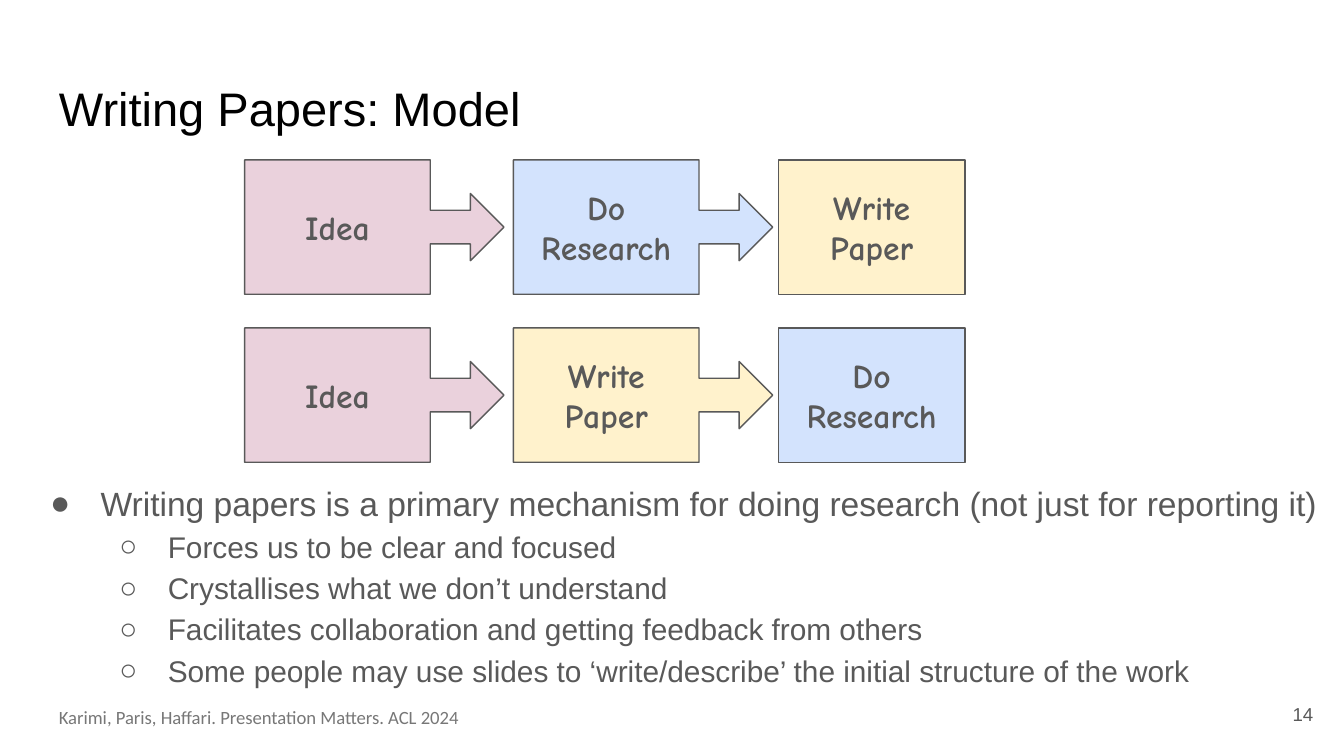
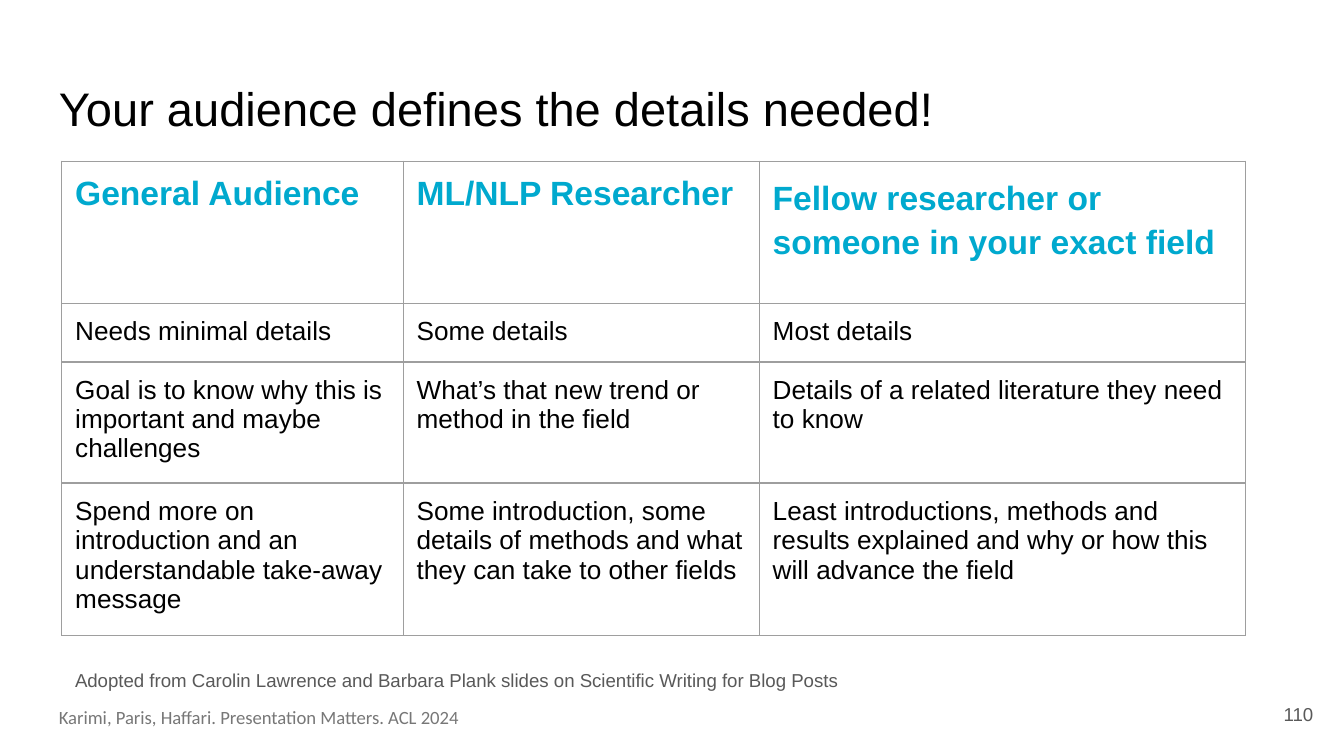
import collections

import lxml.etree
import pptx
import pptx.dml.color
import pptx.enum.shapes
import pptx.enum.text
import pptx.oxml.ns
import pptx.util

Box = collections.namedtuple("Box", "left top width height")

COLUMNS, ROWS = 100, 56.25
CELL = pptx.util.Inches(10) / COLUMNS
INSET = 1

BLACK, GREY, FOOTER_GREY, BORDER_GREY = "000000", "595959", "777777", "9E9E9E"
CYAN, PINK, BLUE, YELLOW = "00A9CE", "EAD1DC", "D3E3FD", "FFF2CC"

ALIGN = pptx.enum.text.PP_ALIGN
ANCHOR = pptx.enum.text.MSO_ANCHOR
SHAPE = pptx.enum.shapes.MSO_SHAPE

TITLE_BOX = Box(3.4, 4.9, 93.2, 6.3)
FOOTER_BOX = Box(3.4, 52, 75.3, 2.7)
NUMBER_BOX = Box(92.7, 51, 6, 4.3)
FLOW_BOX = Box(18.2, 11.9, 53.6, 22.5)
POINTS_BOX = Box(1.5, 34.5, 98.5, 19.5)
TABLE_BOX = Box(4.6, 12, 88.1, 34.1)
CREDIT_BOX = Box(4.6, 48.9, 61.8, 2.8)

TITLE_FONT = {"name": "Arial", "size": pptx.util.Pt(25.2)}
SMALL_FONT = {"name": "Arial", "size": pptx.util.Pt(10)}
FOOTER_FONT = {"name": "Calibri", "size": pptx.util.Pt(10)}
STEP_FONT = {"name": "Comic Neue", "size": pptx.util.Pt(18), "bold": True}
POINT_FONT = {"name": "Arial", "size": pptx.util.Pt(18)}
SUBPOINT_FONT = {"name": "Arial", "size": pptx.util.Pt(16)}
HEADING_FONT = {"name": "Arial", "size": pptx.util.Pt(18), "bold": True}
CELL_FONT = {"name": "Arial", "size": pptx.util.Pt(14), "bold": False}

FOOTER = "Karimi, Paris, Haffari. Presentation Matters. ACL 2024"
CALLOUT_SHAPE = (0.25, 0.25, 0.25, 0.716)

IDEA = ("Idea", PINK)
RESEARCH = ("Do Research", BLUE)
PAPER = ("Write Paper", YELLOW)
FLOWS = [(IDEA, RESEARCH, PAPER), (IDEA, PAPER, RESEARCH)]

MAIN_POINT = "Writing papers is a primary mechanism for doing research (not just for reporting it)"
SUBPOINTS = [
    "Forces us to be clear and focused",
    "Crystallises what we don’t understand",
    "Facilitates collaboration and getting feedback from others",
    "Some people may use slides to ‘write/describe’ the initial structure of the work",
]

CREDIT = "Adopted from Carolin Lawrence and Barbara Plank slides on Scientific Writing for Blog Posts"
AUDIENCE_WIDTHS = (25.4, 26.5, 36.2)
AUDIENCE_HEIGHTS = (10.6, 4.2, 8.5, 10.8)
AUDIENCES = [
    ("General Audience", "ML/NLP Researcher",
     "Fellow researcher or someone in your exact field"),
    ("Needs minimal details", "Some details", "Most details"),
    ("Goal is to know why this is important and maybe challenges",
     "What’s that new trend or method in the field",
     "Details of a related literature they need to know"),
    ("Spend more on introduction and an understandable take-away message",
     "Some introduction, some details of methods and what they can take to other fields",
     "Least introductions, methods and results explained and why or how this will advance the field"),
]


def rgb(value):
    """Turn a hex string into a colour."""
    return pptx.dml.color.RGBColor.from_string(value)


def grid(count):
    """Turn a count of grid cells into a slide length."""
    return pptx.util.Emu(round(count * CELL))


def place(box):
    """Turn a grid box into slide lengths."""
    return [grid(count) for count in box]


def apply(target, values):
    """Set every attribute named in a dict of format values."""
    for name, value in values.items():
        setattr(target, name, value)


def insets(horizontal=INSET, vertical=INSET):
    """Give the four margins of a frame or table cell."""
    return {"margin_left": grid(horizontal), "margin_right": grid(horizontal),
            "margin_top": grid(vertical), "margin_bottom": grid(vertical)}


def write(paragraph, text, font, colour, **layout):
    """Write one formatted run into a paragraph."""
    apply(paragraph, layout)
    run = paragraph.add_run()
    run.text = text
    apply(run.font, font)
    run.font.color.rgb = rgb(colour)


def child(parent, tag, **attributes):
    """Append a drawing element to an XML parent."""
    element = lxml.etree.SubElement(parent, pptx.oxml.ns.qn(tag))
    for name, value in attributes.items():
        element.set(name, str(value))
    return element


def add_frame(slide, box, anchor=ANCHOR.TOP, vertical=INSET):
    """Add a wrapping text box and return its frame."""
    frame = slide.shapes.add_textbox(*place(box)).text_frame
    apply(frame, {"word_wrap": True, "vertical_anchor": anchor, **insets(vertical=vertical)})
    return frame


def add_page(deck, title, number):
    """Add a slide with the shared footer, title and page number."""
    slide = deck.slides.add_slide(deck.slide_layouts[6])
    footer = add_frame(slide, FOOTER_BOX, vertical=INSET / 2)
    write(footer.paragraphs[0], FOOTER, FOOTER_FONT, FOOTER_GREY)
    write(add_frame(slide, TITLE_BOX).paragraphs[0], title, TITLE_FONT, BLACK)
    page_number = add_frame(slide, NUMBER_BOX, ANCHOR.MIDDLE)
    write(page_number.paragraphs[0], number, SMALL_FONT, GREY, alignment=ALIGN.RIGHT)
    return slide


def add_step(slide, box, label, colour, leads_on):
    """Add one step of a flow, with an arrow if another step follows."""
    kind = SHAPE.RIGHT_ARROW_CALLOUT if leads_on else SHAPE.RECTANGLE
    step = slide.shapes.add_shape(kind, *place(box))
    if leads_on:
        for index, share in enumerate(CALLOUT_SHAPE):
            step.adjustments[index] = share
    step.shadow.inherit = False
    step.fill.solid()
    step.fill.fore_color.rgb = rgb(colour)
    step.line.color.rgb = rgb(GREY)
    step.line.width = pptx.util.Pt(0.75)
    apply(step.text_frame, {"word_wrap": True, "vertical_anchor": ANCHOR.MIDDLE, **insets()})
    write(step.text_frame.paragraphs[0], label, STEP_FONT, GREY, alignment=ALIGN.CENTER)


def add_flows(slide, box, flows):
    """Stack the flows in a box, each ending at its right edge."""
    height, gap = 10, 2.5
    callout_width, last_width, pitch = 19.3, 13.9, 20
    for row, flow in enumerate(flows):
        top = box.top + row * (height + gap)
        for column, (label, colour) in enumerate(flow):
            leads_on = column < len(flow) - 1
            width = callout_width if leads_on else last_width
            offset = column * pitch if leads_on else box.width - last_width
            add_step(slide, Box(box.left + offset, top, width, height), label, colour, leads_on)


def add_bullet(paragraph, mark, margin, hanging):
    """Give a paragraph a bullet and a hanging indent."""
    properties = paragraph._p.get_or_add_pPr()
    properties.set("marL", str(grid(margin)))
    properties.set("indent", str(-grid(hanging)))
    child(child(properties, "a:buClr"), "a:srgbClr", val=GREY)
    child(properties, "a:buFont", typeface="Arial")
    child(properties, "a:buChar", char=mark)


def add_points(slide, box, main_point, subpoints):
    """List a main point and its subpoints in a box."""
    frame = add_frame(slide, box)
    main = frame.paragraphs[0]
    add_bullet(main, "●", 5, 3.75)
    write(main, main_point, POINT_FONT, GREY, line_spacing=1.15)
    for text in subpoints:
        subpoint = frame.add_paragraph()
        add_bullet(subpoint, "○", 10, 3.6)
        write(subpoint, text, SUBPOINT_FONT, GREY, line_spacing=1.15, level=1)


def add_borders(cell):
    """Draw a thin line on each side of a table cell."""
    properties = cell._tc.get_or_add_tcPr()
    for side in ("a:lnL", "a:lnR", "a:lnT", "a:lnB"):
        border = child(properties, side, w=pptx.util.Pt(0.75))
        child(child(border, "a:solidFill"), "a:srgbClr", val=BORDER_GREY)


def add_audience_table(slide, box, rows):
    """Add the table comparing what each audience needs."""
    table = slide.shapes.add_table(len(rows), len(rows[0]), *place(box)).table
    apply(table, {"first_row": False, "horz_banding": False})
    for column, width in zip(table.columns, AUDIENCE_WIDTHS):
        column.width = grid(width)
    for row, height in zip(table.rows, AUDIENCE_HEIGHTS):
        row.height = grid(height)
    for row_index, texts in enumerate(rows):
        font, colour = (CELL_FONT, BLACK) if row_index else (HEADING_FONT, CYAN)
        for column_index, text in enumerate(texts):
            cell = table.cell(row_index, column_index)
            apply(cell, insets())
            add_borders(cell)
            cell.fill.background()
            is_long_heading = row_index == 0 and column_index == len(texts) - 1
            layout = {"line_spacing": 1.15} if is_long_heading else {}
            write(cell.text_frame.paragraphs[0], text, font, colour, **layout)


def build_model_slide(deck):
    """Build the slide on the two models of writing papers."""
    slide = add_page(deck, "Writing Papers: Model", "14")
    add_points(slide, POINTS_BOX, MAIN_POINT, SUBPOINTS)
    add_flows(slide, FLOW_BOX, FLOWS)


def build_audience_slide(deck):
    """Build the slide on the details each audience needs."""
    slide = add_page(deck, "Your audience defines the details needed!", "110")
    write(add_frame(slide, CREDIT_BOX).paragraphs[0], CREDIT, SMALL_FONT, GREY)
    add_audience_table(slide, TABLE_BOX, AUDIENCES)


def main():
    """Build and save the deck."""
    deck = pptx.Presentation()
    apply(deck, {"slide_width": grid(COLUMNS), "slide_height": grid(ROWS)})
    build_model_slide(deck)
    build_audience_slide(deck)
    deck.save("out.pptx")


if __name__ == "__main__":
    main()
